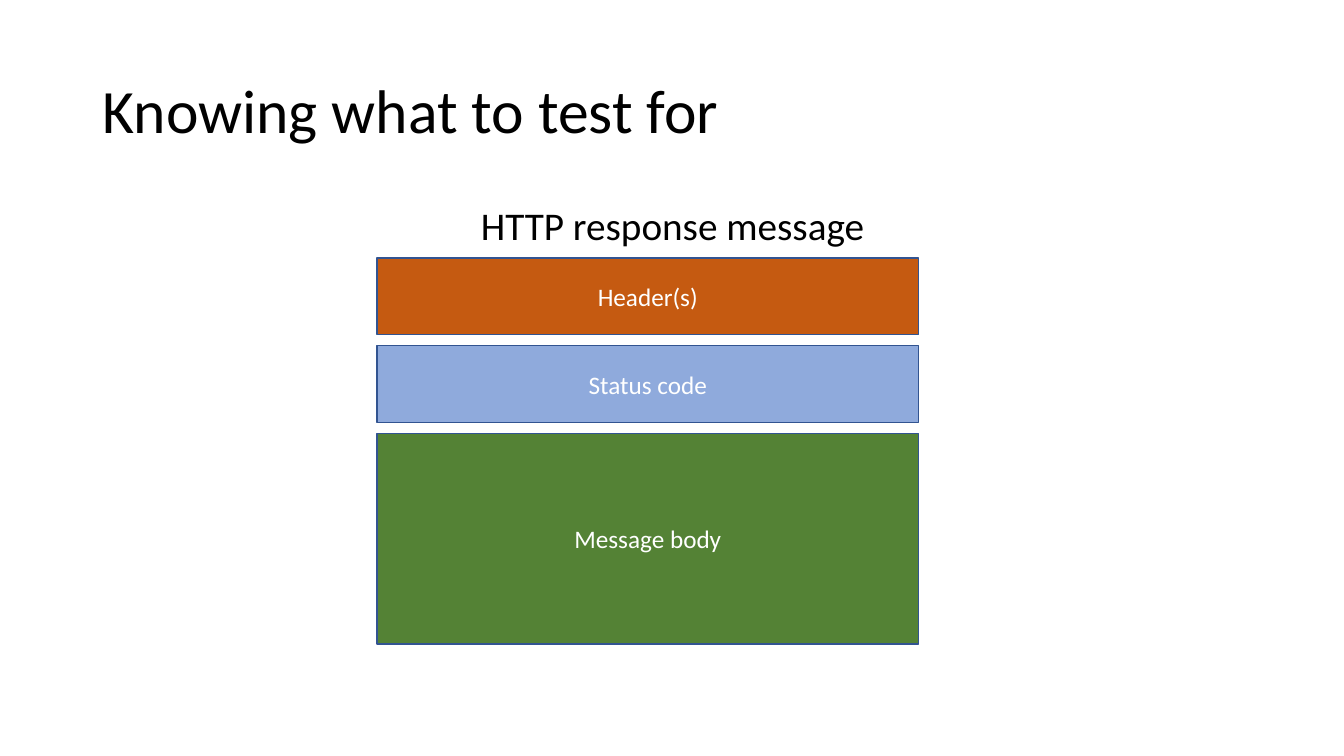
"""Build a slide that shows the parts of an HTTP response message."""
from dataclasses import dataclass

from pptx import Presentation
from pptx.dml.color import RGBColor
from pptx.enum.shapes import MSO_SHAPE
from pptx.enum.text import MSO_ANCHOR, PP_ALIGN
from pptx.slide import Slide
from pptx.text.text import TextFrame
from pptx.util import Inches, Pt

RECTANGLE = MSO_SHAPE.RECTANGLE
TOP, MIDDLE = MSO_ANCHOR.TOP, MSO_ANCHOR.MIDDLE
LEFT, CENTER = PP_ALIGN.LEFT, PP_ALIGN.CENTER

BLACK = RGBColor(0x00, 0x00, 0x00)
WHITE = RGBColor(0xFF, 0xFF, 0xFF)
ORANGE = RGBColor(0xC5, 0x5A, 0x11)
LIGHT_BLUE = RGBColor(0x8F, 0xAA, 0xDC)
GREEN = RGBColor(0x54, 0x82, 0x35)
OUTLINE = RGBColor(0x32, 0x54, 0x91)

FONT = "Calibri"
TITLE_ONLY = 5
MARGIN = Inches(0.92)
CONTENT_WIDTH = Inches(11.5)
STACK_LEFT = Inches(3.74)
STACK_TOP = Inches(2.56)
STACK_WIDTH = Inches(5.37)
STACK_GAP = Inches(0.11)


@dataclass(frozen=True)
class MessagePart:
    """One block of the response message."""
    label: str
    height: float
    fill: RGBColor


MESSAGE_PARTS = (
    MessagePart("Header(s)", 0.76, ORANGE),
    MessagePart("Status code", 0.76, LIGHT_BLUE),
    MessagePart("Message body", 2.09, GREEN),
)


def write_text(frame: TextFrame, text: str, size: int, color: RGBColor,
               align: PP_ALIGN, anchor: MSO_ANCHOR,
               line_spacing: float = 1.0, space_before: int = 0) -> None:
    """Write one formatted paragraph into a text frame."""
    frame.word_wrap = True
    frame.vertical_anchor = anchor
    para = frame.paragraphs[0]
    para.alignment = align
    para.line_spacing = line_spacing
    para.space_before = Pt(space_before)
    span = para.add_run()
    span.text = text
    span.font.name = FONT
    span.font.size = Pt(size)
    span.font.color.rgb = color


def add_title(page: Slide, text: str) -> None:
    """Place and format the title placeholder."""
    title = page.shapes.title
    title.left, title.top = MARGIN, Inches(0.4)
    title.width, title.height = CONTENT_WIDTH, Inches(1.45)
    write_text(title.text_frame, text, 44, BLACK, LEFT, MIDDLE, 0.9)


def add_caption(page: Slide, text: str) -> None:
    """Add the centred caption above the stack."""
    box = page.shapes.add_textbox(MARGIN, Inches(2), CONTENT_WIDTH, Inches(0.56))
    write_text(box.text_frame, text, 28, BLACK, CENTER, TOP, 0.9, 10)


def add_message_part(page: Slide, part: MessagePart, top: int) -> int:
    """Draw one message part and return its bottom edge."""
    height = Inches(part.height)
    box = page.shapes.add_shape(RECTANGLE, STACK_LEFT, top, STACK_WIDTH, height)
    box.shadow.inherit = False
    box.fill.solid()
    box.fill.fore_color.rgb = part.fill
    box.line.color.rgb = OUTLINE
    box.line.width = Pt(1)
    write_text(box.text_frame, part.label, 18, WHITE, CENTER, MIDDLE)
    return top + height


def main() -> None:
    """Build and save the deck."""
    deck = Presentation()
    deck.slide_width, deck.slide_height = Inches(13.33), Inches(7.5)
    page = deck.slides.add_slide(deck.slide_layouts[TITLE_ONLY])
    add_title(page, "Knowing what to test for")
    add_caption(page, "HTTP response message")
    top = STACK_TOP
    for part in MESSAGE_PARTS:
        top = add_message_part(page, part, top) + STACK_GAP
    deck.save("out.pptx")


main()
